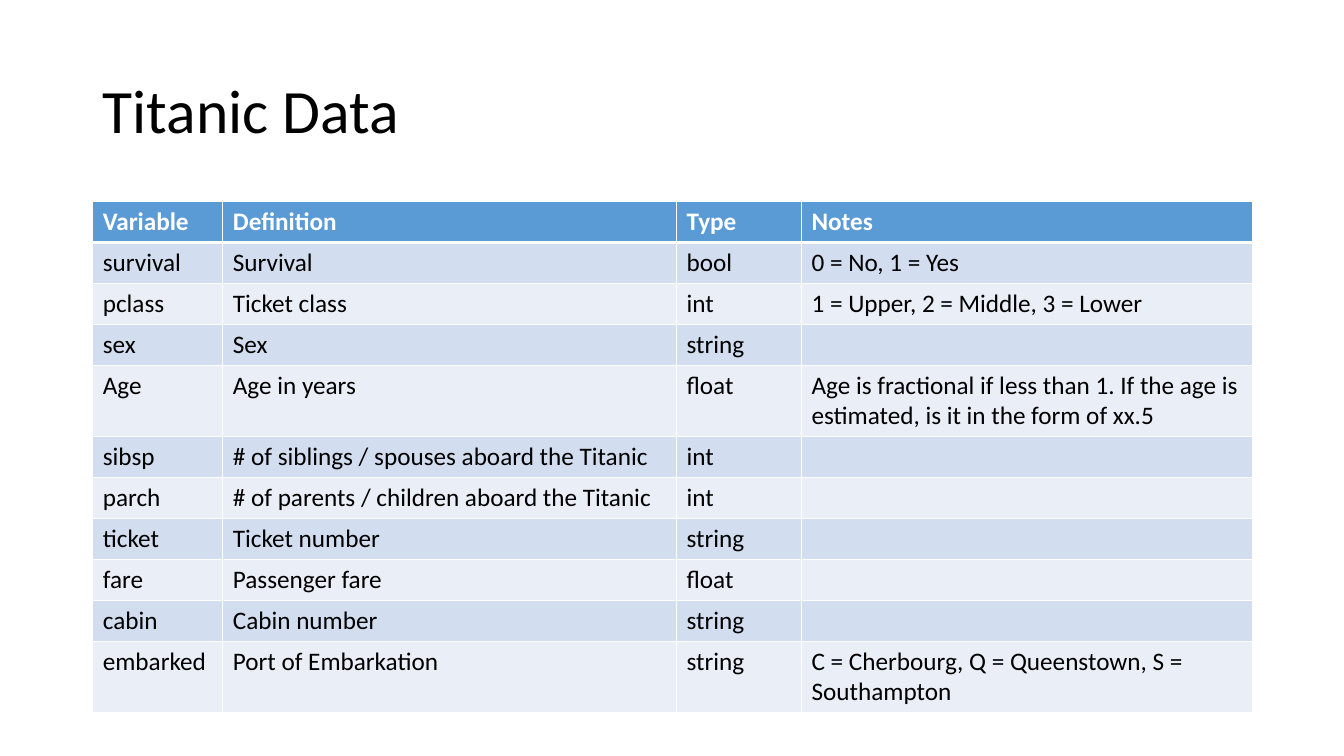
from dataclasses import dataclass

from lxml.etree import SubElement
from pptx import Presentation
from pptx.dml.color import RGBColor as Color
from pptx.enum.text import MSO_ANCHOR as Anchor, PP_ALIGN as Align
from pptx.oxml.ns import qn
from pptx.util import Inches, Pt


@dataclass(frozen=True)
class Theme:
    font: str = "Calibri"
    title_size: int = 44
    table_size: int = 18
    ink: str = "000000"
    white: str = "FFFFFF"
    header: str = "5B9BD5"
    bands: tuple = ("EAEFF7", "D2DEEF")
    rule: int = 1
    header_rule: int = 3


class SlideBuilder:
    def __init__(self, deck, theme):
        self.theme = theme
        self.slide = deck.slides.add_slide(deck.slide_layouts[5])
        background = self.slide.background.fill
        background.solid()
        background.fore_color.rgb = Color.from_string(theme.white)

    def add_text(self, para, text, size, color, bold=False):
        span = para.add_run()
        span.text = text
        span.font.name = self.theme.font
        span.font.size = Pt(size)
        span.font.bold = bold
        span.font.color.rgb = Color.from_string(color)

    def title(self, text, left, top, width, height):
        box = self.slide.shapes.title
        box.left, box.top = Inches(left), Inches(top)
        box.width, box.height = Inches(width), Inches(height)
        box.text_frame.vertical_anchor = Anchor.MIDDLE
        para = box.text_frame.paragraphs[0]
        para.alignment = Align.LEFT
        para.line_spacing = 0.9
        self.add_text(para, text, self.theme.title_size, self.theme.ink)

    def border(self, cell, side, width):
        line = SubElement(cell._tc.get_or_add_tcPr(), qn(f"a:ln{side}"), w=str(Pt(width)))
        fill = SubElement(line, qn("a:solidFill"))
        SubElement(fill, qn("a:srgbClr"), val=self.theme.white)

    def cell(self, cell, text, row):
        theme = self.theme
        is_header = row == 0
        thick_side = {0: "B", 1: "T"}.get(row)
        for side in "LRTB":
            self.border(cell, side, theme.header_rule if side == thick_side else theme.rule)
        cell.fill.solid()
        cell.fill.fore_color.rgb = Color.from_string(
            theme.header if is_header else theme.bands[row % 2]
        )
        para = cell.text_frame.paragraphs[0]
        para.font.size = Pt(theme.table_size)
        if text:
            color = theme.white if is_header else theme.ink
            self.add_text(para, text, theme.table_size, color, is_header)

    def table(self, rows, left, top, widths, row_height):
        frame = self.slide.shapes.add_table(
            len(rows), len(widths), Inches(left), Inches(top),
            Inches(sum(widths)), Inches(row_height * len(rows)),
        )
        table = frame.table
        table.horz_banding = False
        for column, width in zip(table.columns, widths):
            column.width = Inches(width)
        for row, texts in enumerate(rows):
            table.rows[row].height = Inches(row_height)
            for column, text in enumerate(texts):
                self.cell(table.cell(row, column), text, row)


VARIABLES = [
    ("Variable", "Definition", "Type", "Notes"),
    ("survival", "Survival", "bool", "0 = No, 1 = Yes"),
    ("pclass", "Ticket class", "int", "1 = Upper, 2 = Middle, 3 = Lower"),
    ("sex", "Sex", "string", ""),
    ("Age", "Age in years", "float",
     "Age is fractional if less than 1. If the age is estimated, is it in the form of xx.5"),
    ("sibsp", "# of siblings / spouses aboard the Titanic", "int", ""),
    ("parch", "# of parents / children aboard the Titanic", "int", ""),
    ("ticket", "Ticket number", "string", ""),
    ("fare", "Passenger fare", "float", ""),
    ("cabin", "Cabin number", "string", ""),
    ("embarked", "Port of Embarkation", "string",
     "C = Cherbourg, Q = Queenstown, S = Southampton"),
]


def main():
    deck = Presentation()
    deck.slide_width, deck.slide_height = Inches(13.33), Inches(7.5)
    page = SlideBuilder(deck, Theme())
    page.title("Titanic Data", 0.92, 0.4, 11.5, 1.45)
    page.table(VARIABLES, 0.92, 2, (1.29, 4.5, 1.24, 4.47), 0.4)
    deck.save("out.pptx")


if __name__ == "__main__":
    main()
